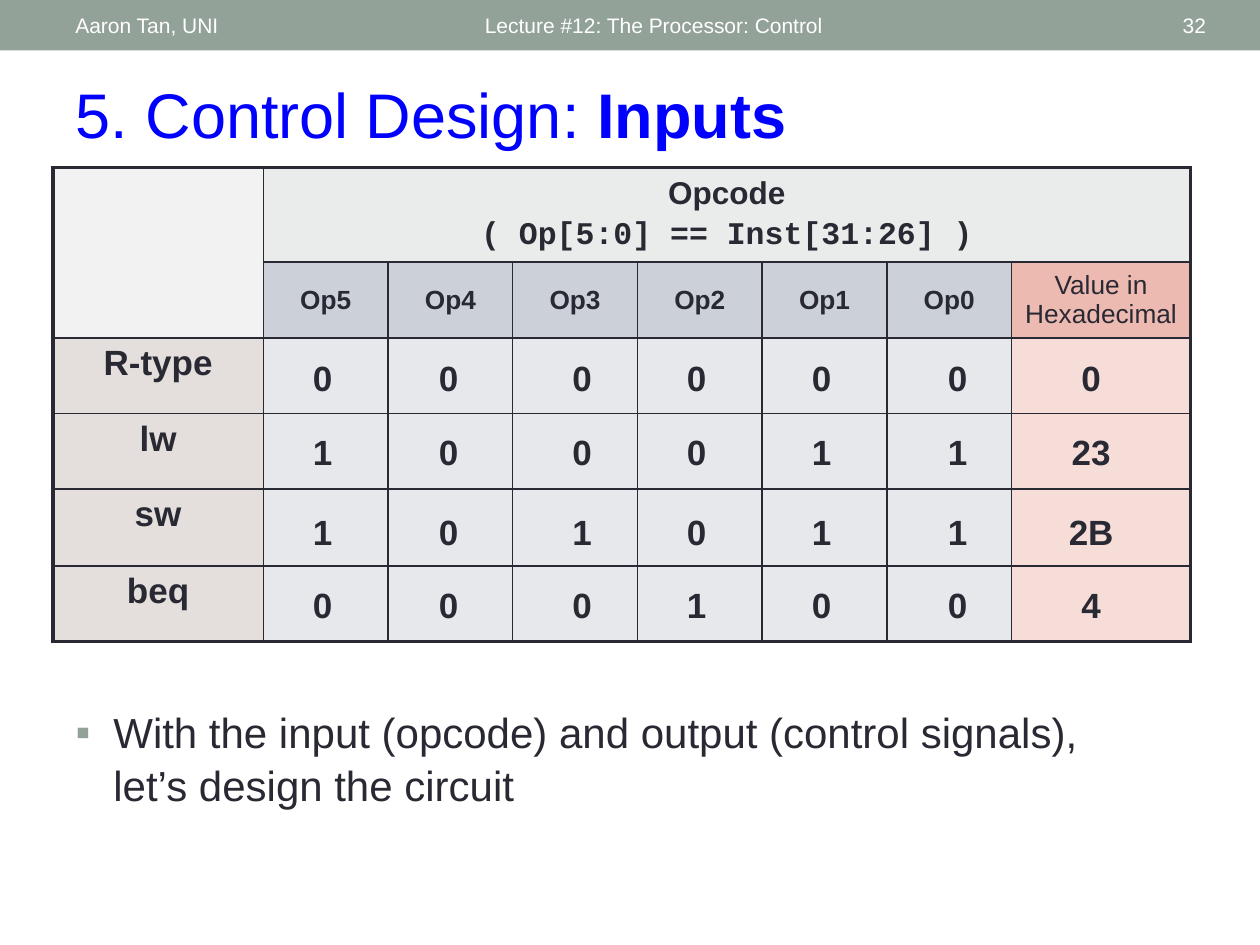
from dataclasses import dataclass

from lxml.etree import SubElement
from pptx import Presentation
from pptx.dml.color import RGBColor
from pptx.enum.shapes import MSO_SHAPE
from pptx.enum.text import MSO_ANCHOR, MSO_AUTO_SIZE, PP_ALIGN
from pptx.oxml.ns import qn
from pptx.util import Inches, Pt


@dataclass(frozen=True)
class Theme:
    font: str = "Arial"
    code_font: str = "Courier New"
    ink: str = "292934"
    title: str = "0000FF"
    accent: str = "93A299"
    white: str = "FFFFFF"
    corner: str = "F2F2F2"
    opcode: str = "E9ECEB"
    bit_header: str = "CCD1D9"
    hex_header: str = "EDBAB1"
    name: str = "E4DFDC"
    bit: str = "E6E8EC"
    hex_value: str = "F6DDD8"
    title_size: int = 36
    body_size: int = 24
    value_size: int = 20
    opcode_size: int = 18
    header_size: int = 15
    banner_size: int = 12
    thin: float = 1
    thick: float = 2.25


@dataclass(frozen=True)
class Box:
    left: float
    top: float
    width: float
    height: float

    def lengths(self):
        return [Inches(n) for n in (self.left, self.top, self.width, self.height)]


@dataclass(frozen=True)
class BannerText:
    text: str
    box: Box
    align: PP_ALIGN = PP_ALIGN.LEFT


@dataclass(frozen=True)
class Instruction:
    name: str
    bits: str
    hex_value: str
    top: float


THEME = Theme()
BANNER = (
    BannerText("Lecture #12: The Processor: Control", Box(3.75, 0.02, 4.5, 0.36)),
    BannerText("Aaron Tan, UNI", Box(0.5, 0.02, 3.17, 0.36)),
    BannerText("32", Box(8.72, 0.02, 0.95, 0.36), PP_ALIGN.RIGHT),
)
INSTRUCTIONS = (
    Instruction("R-type", "000000", "0", 2.78),
    Instruction("lw", "100011", "23", 3.37),
    Instruction("sw", "101011", "2B", 4),
    Instruction("beq", "000100", "4", 4.58),
)
BIT_LEFTS = (2.31, 3.31, 4.37, 5.28, 6.27, 7.35)
COLUMN_WIDTHS = (1.67, *[0.99] * 6, 1.42)
ROW_HEIGHTS = (0.6, 0.57, 0.6, 0.6, 0.61, 0.6)


def style(paragraph, size: float, color: str, bold: bool = False,
          align: PP_ALIGN = PP_ALIGN.LEFT, font: str = THEME.font) -> None:
    paragraph.alignment = align
    paragraph.font.name = font
    paragraph.font.size = Pt(size)
    paragraph.font.bold = bold
    paragraph.font.color.rgb = RGBColor.from_string(color)


def add_text(shapes, text: str, box: Box):
    shape = shapes.add_textbox(*box.lengths())
    shape.text_frame.word_wrap = True
    shape.text_frame.text = text
    return shape


def add_banner(slide) -> None:
    bar = slide.shapes.add_shape(MSO_SHAPE.RECTANGLE, *Box(0, 0, 10, 0.4).lengths())
    bar.shadow.inherit = False
    bar.fill.solid()
    bar.fill.fore_color.rgb = RGBColor.from_string(THEME.accent)
    bar.line.fill.background()
    for item in BANNER:
        frame = add_text(slide.shapes, item.text, item.box).text_frame
        frame.vertical_anchor = MSO_ANCHOR.MIDDLE
        style(frame.paragraphs[0], THEME.banner_size, THEME.white, align=item.align)


def place(placeholder, box: Box):
    placeholder.left, placeholder.top, placeholder.width, placeholder.height = box.lengths()
    frame = placeholder.text_frame
    frame.vertical_anchor = MSO_ANCHOR.TOP
    frame.auto_size = MSO_AUTO_SIZE.NONE
    return frame


def fill_title(slide) -> None:
    paragraph = place(slide.shapes.title, Box(0.5, 0.55, 9, 0.71)).paragraphs[0]
    style(paragraph, THEME.title_size, THEME.title)
    paragraph.add_run().text = "5. Control Design: "
    emphasis = paragraph.add_run()
    emphasis.text = "Inputs"
    emphasis.font.bold = True


def fill_body(slide) -> None:
    frame = place(slide.placeholders[1], Box(0.5, 5.54, 8.59, 0.88))
    frame.text = ("With the input (opcode) and output (control signals), "
                  "let’s design the circuit")
    paragraph = frame.paragraphs[0]
    style(paragraph, THEME.body_size, THEME.ink)
    paragraph.space_before = Pt(THEME.body_size * 0.2)
    paragraph.line_spacing = 1.05
    properties = paragraph._p.get_or_add_pPr()
    properties.set("marL", str(Inches(0.3)))
    properties.set("indent", str(-Inches(0.3)))
    bullet_color = SubElement(properties, qn("a:buClr"))
    SubElement(bullet_color, qn("a:srgbClr"), val=THEME.accent)
    SubElement(properties, qn("a:buFont"), typeface=THEME.font)
    SubElement(properties, qn("a:buChar"), char="▪")


def set_borders(cell, row: int, column: int) -> None:
    outer_edges = {
        "a:lnL": column == 0,
        "a:lnR": column + cell.span_width >= len(COLUMN_WIDTHS),
        "a:lnT": row == 0,
        "a:lnB": row + cell.span_height >= len(ROW_HEIGHTS),
    }
    properties = cell._tc.get_or_add_tcPr()
    for tag, is_outer in outer_edges.items():
        width = THEME.thick if is_outer else THEME.thin
        line = SubElement(properties, qn(tag), w=str(Pt(width)))
        SubElement(SubElement(line, qn("a:solidFill")), qn("a:srgbClr"), val=THEME.ink)


def cell_color(row: int, column: int) -> str:
    if column == 0:
        return THEME.corner if row < 2 else THEME.name
    if row == 0:
        return THEME.opcode
    if column == len(COLUMN_WIDTHS) - 1:
        return THEME.hex_header if row == 1 else THEME.hex_value
    return THEME.bit_header if row == 1 else THEME.bit


def write_cell(cell, text: str, size: float, bold: bool = True) -> None:
    cell.text = text
    for paragraph in cell.text_frame.paragraphs:
        style(paragraph, size, THEME.ink, bold, PP_ALIGN.CENTER)
        paragraph.space_before = Pt(size * 0.2)


def add_opcode_table(slide) -> None:
    table = slide.shapes.add_table(len(ROW_HEIGHTS), len(COLUMN_WIDTHS),
                                   *Box(0.42, 1.33, 9, 3.58).lengths()).table
    table.first_row = table.horz_banding = False
    for column, width in zip(table.columns, COLUMN_WIDTHS):
        column.width = Inches(width)
    for row, height in zip(table.rows, ROW_HEIGHTS):
        row.height = Inches(height)
    last = len(COLUMN_WIDTHS) - 1
    table.cell(0, 0).merge(table.cell(1, 0))
    table.cell(0, 1).merge(table.cell(0, last))
    for row in range(len(ROW_HEIGHTS)):
        for column in range(len(COLUMN_WIDTHS)):
            cell = table.cell(row, column)
            set_borders(cell, row, column)
            cell.fill.solid()
            cell.fill.fore_color.rgb = RGBColor.from_string(cell_color(row, column))
            if row < 2:
                cell.vertical_anchor = MSO_ANCHOR.MIDDLE
    opcode = table.cell(0, 1)
    write_cell(opcode, "Opcode\n( Op[5:0] == Inst[31:26] )", THEME.opcode_size)
    opcode.text_frame.paragraphs[1].font.name = THEME.code_font
    for column in range(1, last):
        write_cell(table.cell(1, column), f"Op{last - 1 - column}", THEME.header_size)
    write_cell(table.cell(1, last), "Value in Hexadecimal", THEME.header_size, False)
    for row, instruction in enumerate(INSTRUCTIONS, start=2):
        write_cell(table.cell(row, 0), instruction.name, THEME.value_size)


def add_values(slide, instruction: Instruction) -> None:
    group = slide.shapes.add_group_shape()
    boxes = [Box(left, instruction.top, 0.5, 0.44) for left in BIT_LEFTS]
    boxes.append(Box(8.32, instruction.top, 0.68, 0.44))
    for text, box in zip((*instruction.bits, instruction.hex_value), boxes):
        frame = add_text(group.shapes, text, box).text_frame
        frame.auto_size = MSO_AUTO_SIZE.SHAPE_TO_FIT_TEXT
        style(frame.paragraphs[0], THEME.value_size, THEME.ink, True, PP_ALIGN.CENTER)


def main() -> None:
    presentation = Presentation()
    presentation.slide_width, presentation.slide_height = Inches(10), Inches(7.5)
    slide = presentation.slides.add_slide(presentation.slide_layouts[1])
    add_banner(slide)
    fill_title(slide)
    fill_body(slide)
    add_opcode_table(slide)
    for instruction in INSTRUCTIONS:
        add_values(slide, instruction)
    presentation.save("out.pptx")


if __name__ == "__main__":
    main()
